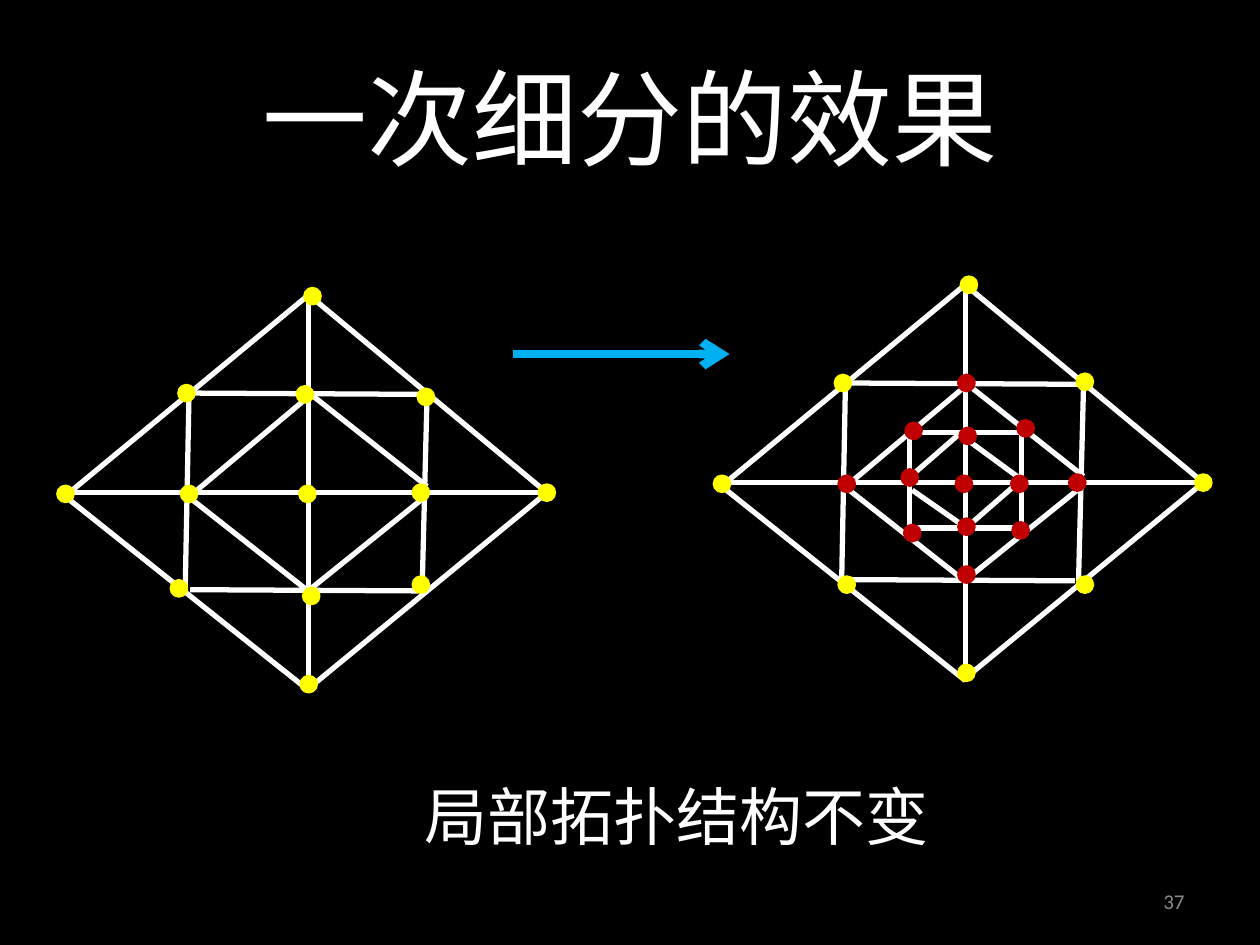
from dataclasses import dataclass

import pptx
import pptx.util
import pptx.oxml
import pptx.oxml.ns
import pptx.dml.color
import pptx.enum.shapes
import pptx.enum.text

PX = 9144  # 100 px to the inch
ALIGN = pptx.enum.text.PP_ALIGN
ANCHOR = pptx.enum.text.MSO_ANCHOR


@dataclass(frozen=True)
class Theme:
    background: str = "000000"
    text: str = "FFFFFF"
    muted: str = "8C8C8C"
    edge: str = "FFFFFF"
    old_vertex: str = "FFFF00"
    new_vertex: str = "C00000"
    arrow: str = "00B0F0"
    cjk: str = "Noto Sans CJK SC"
    latin: str = "Calibri"
    title_size: int = 60
    caption_size: int = 36
    number_size: int = 12
    edge_width: int = 3
    arrow_width: int = 5
    vertex_line: int = 2
    vertex_size: int = 12


@dataclass(frozen=True)
class Edge:
    x1: int
    y1: int
    x2: int
    y2: int


@dataclass(frozen=True)
class Vertex:
    left: int
    top: int
    color: str


@dataclass(frozen=True)
class Label:
    text: str
    left: int
    top: int
    width: int
    height: int
    font: str
    size: int
    color: str
    align: ALIGN
    anchor: ANCHOR


THEME = Theme()

# Edges shared by both meshes, placed for the left one
OUTER_EDGES = [
    Edge(48, 391, 434, 391), Edge(245, 234, 245, 548),
    Edge(245, 234, 434, 391), Edge(48, 391, 245, 548),
    Edge(243, 548, 434, 391), Edge(55, 391, 245, 234),
    Edge(147, 469, 150, 313), Edge(335, 469, 339, 312),
    Edge(335, 313, 153, 312), Edge(332, 469, 151, 468),
]
INNER_EDGES = [
    Edge(247, 313, 154, 391), Edge(334, 397, 247, 467),
    Edge(339, 386, 248, 314), Edge(242, 467, 153, 397),
]
RIGHT_SHIFT = (521, -8)

# Edges that the subdivision adds in the right mesh
NEW_EDGES = [
    Edge(722, 342, 722, 423), Edge(811, 342, 811, 423),
    Edge(722, 343, 814, 343), Edge(724, 419, 811, 419),
    Edge(763, 343, 724, 377), Edge(808, 383, 769, 417),
    Edge(769, 350, 814, 383), Edge(724, 389, 767, 419),
]


def vertices(color: str, places: list[tuple[int, int]]) -> list[Vertex]:
    return [Vertex(left, top, color) for left, top in places]


LEFT_OUTER = vertices(THEME.old_vertex, [
    (142, 306), (242, 229), (332, 309), (428, 385), (46, 386),
    (239, 537), (328, 458), (238, 386), (136, 461)])
LEFT_INNER = vertices(THEME.old_vertex, [
    (328, 385), (236, 307), (144, 386), (241, 467)])
RIGHT_OUTER = vertices(THEME.old_vertex, [
    (663, 298), (763, 220), (855, 297), (949, 377), (567, 378),
    (761, 528), (855, 458), (666, 458)])
RIGHT_INNER = vertices(THEME.new_vertex, [
    (759, 378), (849, 377), (761, 298), (666, 378)])
RIGHT_NEW = vertices(THEME.new_vertex, [
    (762, 340), (761, 412), (803, 378), (804, 415), (718, 417),
    (808, 334), (719, 336), (716, 373), (761, 450)])

TITLE = Label("一次细分的效果", 50, 30, 900, 125, THEME.cjk, THEME.title_size,
              THEME.text, ALIGN.CENTER, ANCHOR.MIDDLE)
CAPTION = Label("局部拓扑结构不变", 327, 612, 429, 71, THEME.cjk, THEME.caption_size,
                THEME.text, ALIGN.LEFT, ANCHOR.TOP)
PAGE_NUMBER = Label("37", 717, 695, 233, 40, THEME.latin, THEME.number_size,
                    THEME.muted, ALIGN.RIGHT, ANCHOR.MIDDLE)


def rgb(color: str) -> pptx.dml.color.RGBColor:
    return pptx.dml.color.RGBColor.from_string(color)


def draw_edge(page, edge: Edge, color: str, width: int, shift=(0, 0)):
    dx, dy = shift
    line = page.shapes.add_connector(
        pptx.enum.shapes.MSO_CONNECTOR.STRAIGHT,
        (edge.x1 + dx) * PX, (edge.y1 + dy) * PX,
        (edge.x2 + dx) * PX, (edge.y2 + dy) * PX)
    line.line.color.rgb = rgb(color)
    line.line.width = pptx.util.Pt(width)
    pptx.oxml.ns.qn("a:effectLst")
    properties = line._element.spPr
    properties.append(pptx.oxml.xmlchemy.OxmlElement("a:effectLst"))
    return line


def draw_edges(page, edges: list[Edge], shift=(0, 0)) -> None:
    for edge in edges:
        draw_edge(page, edge, THEME.edge, THEME.edge_width, shift)


def draw_vertices(page, dots: list[Vertex]) -> None:
    size = THEME.vertex_size * PX
    for dot in dots:
        shape = page.shapes.add_shape(
            pptx.enum.shapes.MSO_SHAPE.FLOWCHART_CONNECTOR,
            dot.left * PX, dot.top * PX, size, size)
        shape.shadow.inherit = False
        shape.fill.solid()
        shape.fill.fore_color.rgb = rgb(dot.color)
        shape.line.color.rgb = rgb(dot.color)
        shape.line.width = pptx.util.Pt(THEME.vertex_line)


def draw_arrow(page, edge: Edge) -> None:
    arrow = draw_edge(page, edge, THEME.arrow, THEME.arrow_width)
    head = pptx.oxml.xmlchemy.OxmlElement("a:tailEnd")
    head.set("type", "arrow")
    arrow.line._get_or_add_ln().append(head)


def write_label(box, label: Label) -> None:
    for name in ("left", "top", "width", "height"):
        setattr(box, name, getattr(label, name) * PX)
    frame = box.text_frame
    frame.word_wrap = True
    frame.vertical_anchor = label.anchor
    para = frame.paragraphs[0]
    para.alignment = label.align
    span = para.add_run()
    span.text = label.text
    formats = {"name": label.font, "size": pptx.util.Pt(label.size)}
    for name, value in formats.items():
        setattr(span.font, name, value)
    span.font.color.rgb = rgb(label.color)
    east_asian = pptx.oxml.xmlchemy.OxmlElement("a:ea")
    east_asian.set("typeface", label.font)
    span._r.get_or_add_rPr().append(east_asian)


def main() -> None:
    deck = pptx.Presentation()
    deck.slide_width, deck.slide_height = 1000 * PX, 750 * PX
    page = deck.slides.add_slide(deck.slide_layouts.get_by_name("Title Only"))
    page.background.fill.solid()
    page.background.fill.fore_color.rgb = rgb(THEME.background)

    # Mesh before subdivision
    draw_edges(page, OUTER_EDGES)
    draw_vertices(page, LEFT_OUTER)
    draw_edges(page, INNER_EDGES)
    draw_vertices(page, LEFT_INNER)

    # Mesh after subdivision
    draw_edges(page, OUTER_EDGES, RIGHT_SHIFT)
    draw_vertices(page, RIGHT_OUTER)
    draw_edges(page, INNER_EDGES, RIGHT_SHIFT)
    draw_vertices(page, RIGHT_INNER)
    draw_edges(page, NEW_EDGES)
    draw_vertices(page, RIGHT_NEW)

    # Arrow and text
    draw_arrow(page, Edge(407, 281, 579, 281))
    write_label(page.shapes.title, TITLE)
    for label in (CAPTION, PAGE_NUMBER):
        write_label(page.shapes.add_textbox(0, 0, PX, PX), label)

    deck.save("out.pptx")


if __name__ == "__main__":
    main()
